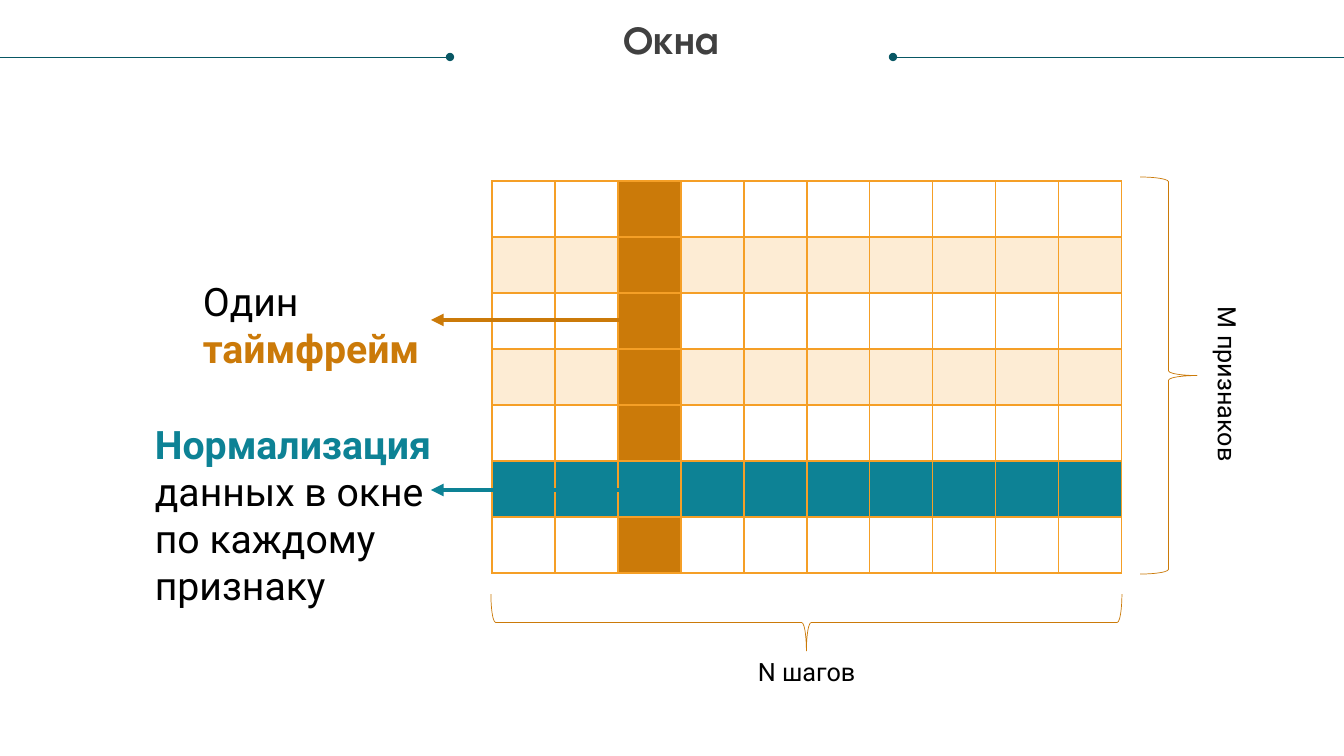
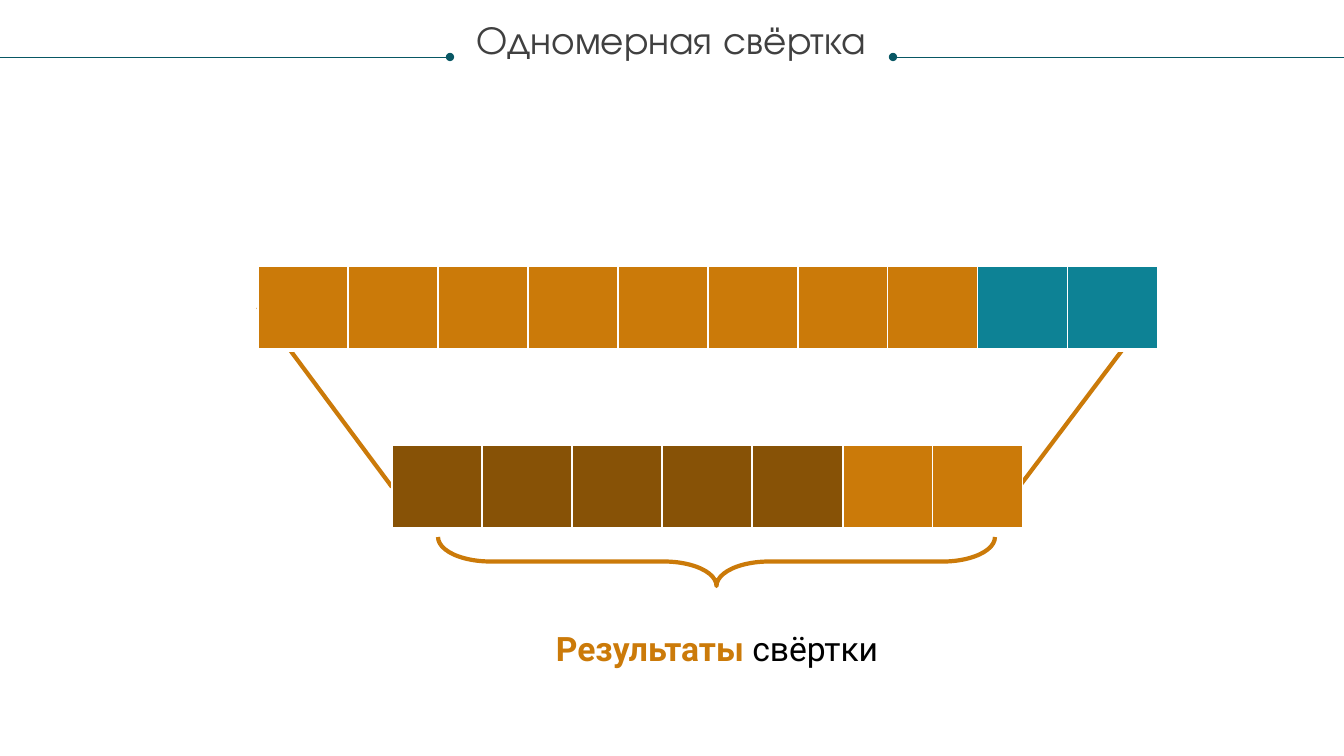
"""Builds two slides about data windows and one-dimensional convolution."""
import pptx
import pptx.dml.color
import pptx.enum.shapes
import pptx.enum.text
import pptx.oxml
import pptx.oxml.ns
import pptx.util
from lxml import etree

RGBColor = pptx.dml.color.RGBColor
Shape = pptx.enum.shapes.MSO_SHAPE
Align = pptx.enum.text.PP_ALIGN

WHITE = RGBColor(0xFF, 0xFF, 0xFF)
BLACK = RGBColor(0x00, 0x00, 0x00)
GRAY = RGBColor(0x40, 0x40, 0x40)
DARK_TEAL = RGBColor(0x08, 0x57, 0x64)
TEAL = RGBColor(0x0D, 0x82, 0x95)
ORANGE = RGBColor(0xCB, 0x7A, 0x09)
BRIGHT = RGBColor(0xF5, 0x9F, 0x26)
PALE = RGBColor(0xFD, 0xEC, 0xD4)
BROWN = RGBColor(0x87, 0x52, 0x06)

WIDTH, HEIGHT = 1344, 756
EMU_PER_PX = 914400 / 100.8
TITLE_FONT, BODY_FONT = "TeX Gyre Adventor", "Roboto"
FRAME_FORMAT = {
    "word_wrap": True,
    "auto_size": pptx.enum.text.MSO_AUTO_SIZE.SHAPE_TO_FIT_TEXT,
}
NO_MARGINS = dict.fromkeys(
    ("margin_left", "margin_top", "margin_right", "margin_bottom"), 0
)
TABLE_FORMAT = {"first_row": False, "horz_banding": False}


def px(*lengths):
    """Turns pixel lengths into EMU."""
    return [pptx.util.Emu(round(length * EMU_PER_PX)) for length in lengths]


def assign(target, values):
    """Sets every attribute named in a dict."""
    for name, value in values.items():
        setattr(target, name, value)


class Deck:
    """Holds the presentation, its style and the current slide."""

    def __init__(self):
        """Starts an empty presentation."""
        self.presentation = pptx.Presentation()
        size = px(WIDTH, HEIGHT)
        assign(self.presentation, dict(zip(("slide_width", "slide_height"), size)))

    def slide(self, title, bold=False):
        """Adds a slide with its title between two dotted rules."""
        layout = self.presentation.slide_layouts[6]
        self.shapes = self.presentation.slides.add_slide(layout).shapes
        for edge, dot in ((0, 450), (WIDTH, 893)):
            self.line((edge, 57), (dot, 57), DARK_TEAL, 0.5, "oval")
        self.text(
            (25, 21, 1293, 42), [(title, GRAY, bold)], 28, TITLE_FONT,
            frame_format=NO_MARGINS,
            paragraph_format={"alignment": Align.CENTER, "line_spacing": 0.9},
        )

    def text(self, box, runs, size, font=BODY_FONT, rotation=0,
             frame_format={}, paragraph_format={}):
        """Adds a text box of coloured runs."""
        shape = self.shapes.add_textbox(*px(*box))
        shape.rotation = rotation
        frame = shape.text_frame
        assign(frame, FRAME_FORMAT | frame_format)
        paragraph = frame.paragraphs[0]
        assign(paragraph, paragraph_format)
        for words, color, bold in runs:
            run = paragraph.add_run()
            run.text = words
            assign(run.font, {"name": font, "size": pptx.util.Pt(size), "bold": bold})
            run.font.color.rgb = color

    def line(self, start, end, color, width, tail=None):
        """Adds a straight line, with an optional mark at its end."""
        connector = self.shapes.add_connector(
            pptx.enum.shapes.MSO_CONNECTOR.STRAIGHT, *px(*start, *end)
        )
        connector.line.color.rgb = color
        connector.line.width = pptx.util.Pt(width)
        if tail:
            mark = etree.SubElement(
                connector.line._get_or_add_ln(), pptx.oxml.ns.qn("a:tailEnd")
            )
            mark.set("type", tail)
        etree.SubElement(
            connector._element.spPr, pptx.oxml.ns.qn("a:effectLst")
        )

    def brace(self, kind, box, rotation, width, bend=None):
        """Adds an unfilled curly brace."""
        shape = self.shapes.add_shape(kind, *px(*box))
        shape.rotation = rotation
        shape.shadow.inherit = False
        shape.fill.background()
        shape.line.color.rgb = ORANGE
        shape.line.width = pptx.util.Pt(width)
        if bend is not None:
            shape.adjustments[0] = bend

    def grid(self, left, top, cell_size, fills, border, first_bottom):
        """Adds an empty table whose rows of fills give its cells."""
        width, height = cell_size
        rows, columns = len(fills), len(fills[0])
        table = self.shapes.add_table(
            rows, columns, *px(left, top, width * columns, height * rows)
        ).table
        assign(table, TABLE_FORMAT)
        for column in table.columns:
            column.width = px(width)[0]
        for row, row_fills in enumerate(fills):
            table.rows[row].height = px(height)[0]
            for column, fill in enumerate(row_fills):
                cell = table.cell(row, column)
                self.borders(cell, border, 1 if row else first_bottom)
                if fill is None:
                    cell.fill.background()
                else:
                    cell.fill.solid()
                    cell.fill.fore_color.rgb = fill

    def borders(self, cell, color, bottom):
        """Draws the four borders of a cell."""
        properties = cell._tc.get_or_add_tcPr()
        for side, width in (("L", 1), ("R", 1), ("T", 1), ("B", bottom)):
            properties.append(pptx.oxml.parse_xml(
                f'<a:ln{side} {pptx.oxml.ns.nsdecls("a")} w="{pptx.util.Pt(width)}">'
                f'<a:solidFill><a:srgbClr val="{color}"/></a:solidFill></a:ln{side}>'
            ))


def add_windows(deck):
    """Adds the slide that shows a window of features over time."""
    deck.slide("Окна", bold=True)
    fills = []
    for row in range(7):
        base = PALE if row in (1, 3) else None
        fills.append([ORANGE if column == 2 else base for column in range(10)])
    fills[5] = [TEAL] * 10
    deck.grid(492, 181, (63, 56), fills, BRIGHT, 2)
    deck.brace(Shape.LEFT_BRACE, (1140, 177, 57, 397), 180, 0.5)
    deck.brace(Shape.LEFT_BRACE, (778, 307, 57, 631), 270, 0.5)
    deck.text((748, 651, 330, 40), [("N шагов", BLACK, False)], 18)
    deck.text((1087, 418, 282, 40), [("M признаков", BLACK, False)], 18, rotation=90)
    for y, color in ((320, ORANGE), (490, TEAL)):
        deck.line((643, y), (431, y), color, 3, "triangle")
    deck.text(
        (193, 272, 305, 105),
        [("Один ", BLACK, False), ("таймфрейм", ORANGE, True)], 28,
    )
    deck.text(
        (145, 415, 305, 201),
        [("Нормализация", TEAL, True),
         (" данных в окне по каждому признаку", BLACK, False)], 28,
    )


def add_convolution(deck):
    """Adds the slide that slides a window along a row of values."""
    deck.slide("Одномерная свёртка")
    for start, end in (((258, 307), (392, 487)), ((1154, 308), (1019, 487))):
        deck.line(start, end, ORANGE, 3)
    deck.grid(258, 266, (90, 84), [[TEAL] * 10], WHITE, 3)
    deck.grid(393, 445, (90, 84), [[ORANGE] * 7], WHITE, 3)
    for step in range(5):
        deck.grid(258 + 90 * step, 266, (90, 84), [[ORANGE] * 4], WHITE, 3)
        deck.grid(392 + 90 * step, 445, (91, 84), [[BROWN]], WHITE, 3)
    deck.brace(Shape.RIGHT_BRACE, (692, 283, 49, 557), 90, 3, bend=1.07)
    deck.text(
        (499, 623, 436, 50),
        [("Результаты", ORANGE, True), (" свёртки", BLACK, False)], 24,
        paragraph_format={"alignment": Align.CENTER},
    )


def main():
    """Builds and saves the presentation."""
    deck = Deck()
    add_windows(deck)
    add_convolution(deck)
    deck.presentation.save("out.pptx")


if __name__ == "__main__":
    main()
